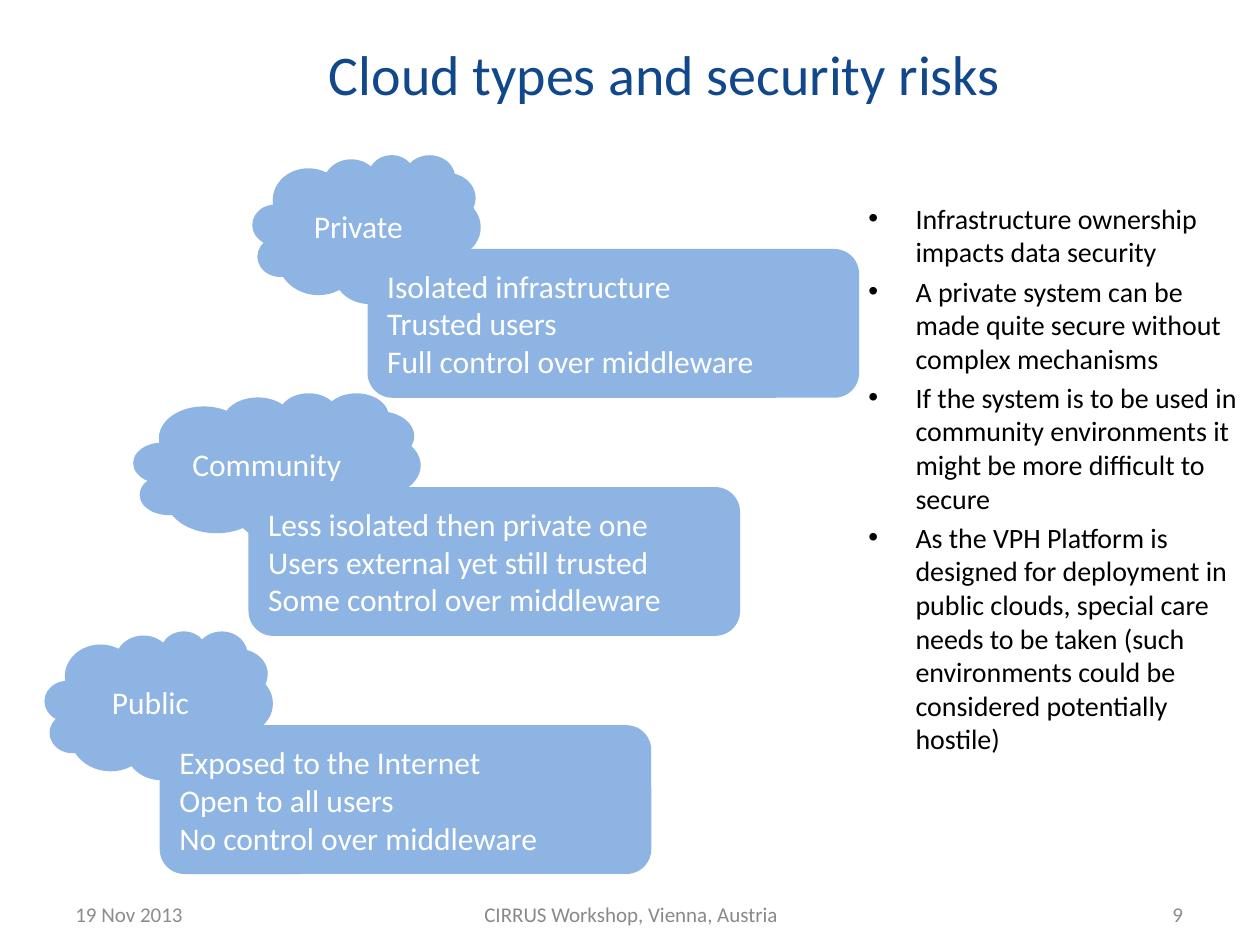
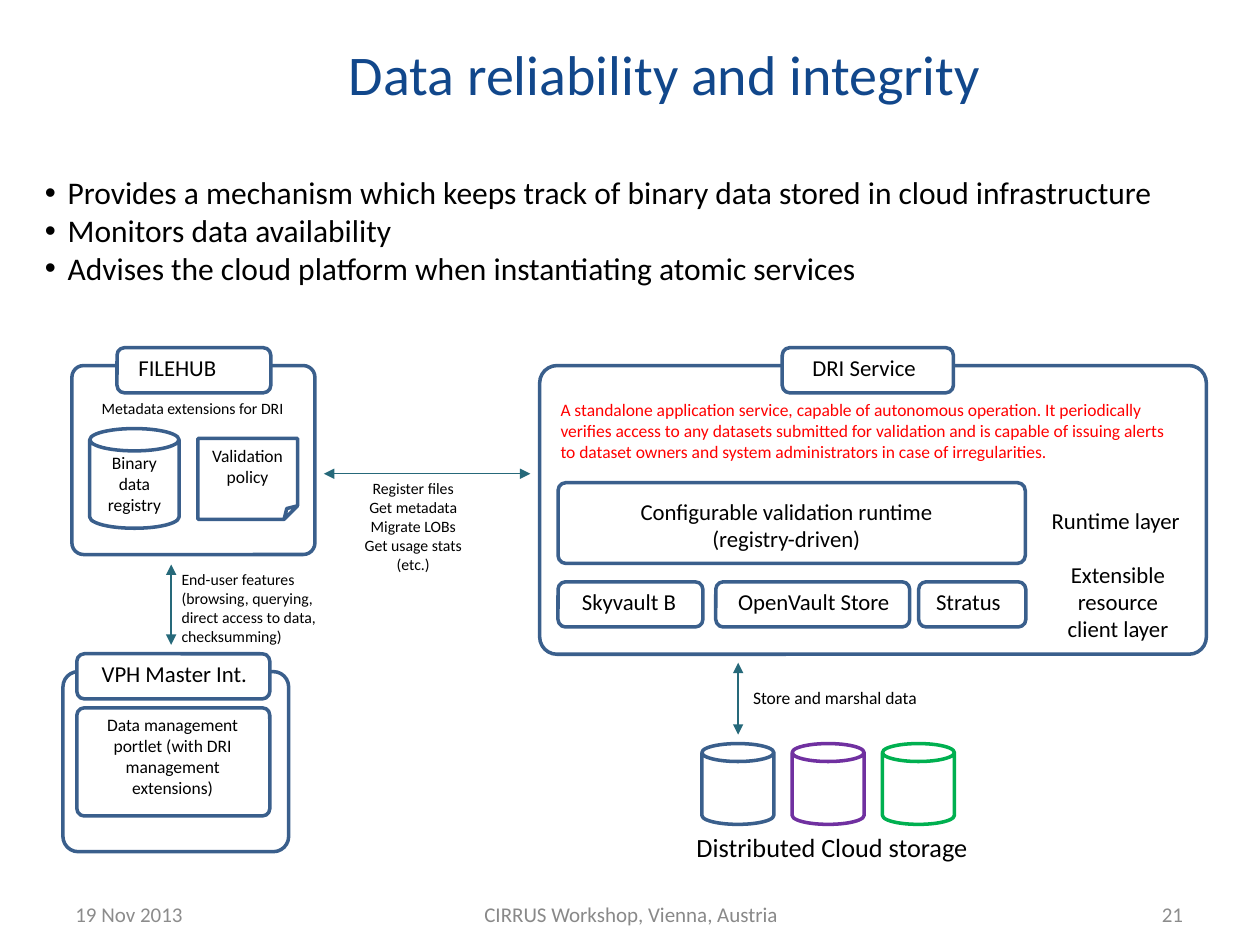
from dataclasses import dataclass

from pptx import Presentation
from pptx.dml.color import RGBColor
from pptx.enum.shapes import MSO_CONNECTOR, MSO_SHAPE as SHAPE
from pptx.enum.text import MSO_ANCHOR as ANCHOR, MSO_AUTO_SIZE as AUTO, PP_ALIGN as ALIGN
from pptx.oxml.ns import qn
from pptx.util import Cm, Pt
from lxml.etree import SubElement


@dataclass(frozen=True)
class Theme:
    font: str = "Calibri"
    title: str = "11478B"
    text: str = "000000"
    warning: str = "FF0000"
    footer: str = "898989"
    page: str = "8C8C8C"
    cloud: str = "8EB4E3"
    white: str = "FFFFFF"
    outline: str = "3A5F8C"
    arrow: str = "26697A"
    purple: str = "7030A0"
    green: str = "00B050"
    title_size: int = 32
    body_size: int = 18
    side_size: int = 16
    storage_size: int = 15
    label_size: int = 13
    footer_size: int = 12
    detail_size: int = 10
    note_size: int = 9
    outline_width: float = 2
    arrow_width: float = 0.75


T = Theme()
TAB_H = 0.91


def rgb(color):
    return RGBColor.from_string(color)


def place(sp, x, y, w, h):
    sp.left, sp.top, sp.width, sp.height = Cm(x), Cm(y), Cm(w), Cm(h)


def write(tf, text, size, color=T.text, align=ALIGN.LEFT):
    tf.text = text
    for p in tf.paragraphs:
        p.alignment = align
        for r in p.runs:
            r.font.name = T.font
            r.font.size = Pt(size)
            r.font.color.rgb = rgb(color)


def add_label(s, text, x, y, w, h, size=T.label_size, color=T.text,
              align=ALIGN.LEFT, wrap=True):
    tf = s.shapes.add_textbox(Cm(x), Cm(y), Cm(w), Cm(h)).text_frame
    tf.word_wrap = wrap
    tf.auto_size = AUTO.SHAPE_TO_FIT_TEXT
    write(tf, text, size, color, align)


def add_shape(s, kind, x, y, w, h, adjust=(), fill=None, line=None):
    sp = s.shapes.add_shape(kind, Cm(x), Cm(y), Cm(w), Cm(h))
    sp.shadow.inherit = False
    for i, value in enumerate(adjust):
        sp.adjustments[i] = value
    if fill:
        sp.fill.solid()
        sp.fill.fore_color.rgb = rgb(fill)
    else:
        sp.fill.background()
    if line:
        sp.line.color.rgb = rgb(line)
        sp.line.width = Pt(T.outline_width)
    else:
        sp.line.fill.background()
    return sp


def add_box(s, x, y, w, h, adjust=(), fill=None):
    return add_shape(s, SHAPE.ROUNDED_RECTANGLE, x, y, w, h, adjust, fill, T.outline)


def add_arrow(s, x1, y1, x2, y2):
    c = s.shapes.add_connector(MSO_CONNECTOR.STRAIGHT, Cm(x1), Cm(y1), Cm(x2), Cm(y2))
    c.line.color.rgb = rgb(T.arrow)
    c.line.width = Pt(T.arrow_width)
    spPr = c.element.spPr
    ln = spPr.find(qn("a:ln"))
    for end in ("a:headEnd", "a:tailEnd"):
        SubElement(ln, qn(end), type="triangle")
    SubElement(spPr, qn("a:effectLst"))


def add_footer(s, text, x, w, color, align):
    sp = s.shapes.add_textbox(Cm(x), Cm(17.91), Cm(w), Cm(1.02))
    sp.text_frame.word_wrap = True
    sp.text_frame.vertical_anchor = ANCHOR.MIDDLE
    write(sp.text_frame, text, T.footer_size, color, align)


def add_slide(prs, title, page):
    s = prs.slides.add_slide(prs.slide_layouts[1])
    place(s.shapes.title, 3.7, 0.04, 19.41, 2.87)
    write(s.shapes.title.text_frame, title, T.title_size, T.title, ALIGN.CENTER)
    add_footer(s, "19 Nov 2013", 1.27, 5.92, T.page, ALIGN.LEFT)
    add_footer(s, "CIRRUS Workshop, Vienna, Austria", 7.62, 10.21, T.footer, ALIGN.CENTER)
    add_footer(s, str(page), 22.45, 1.65, T.page, ALIGN.RIGHT)
    return s


def add_bullets(s, items, x, y, w, h, size, indent=None):
    body = s.placeholders[1]
    place(body, x, y, w, h)
    tf = body.text_frame
    tf.auto_size = AUTO.NONE
    write(tf, "\n".join(items), size)
    if indent:
        for p in tf.paragraphs:
            p.space_before = Pt(0)
            pPr = p._p.get_or_add_pPr()
            pPr.set("marL", str(Cm(indent)))
            pPr.set("indent", str(-Cm(indent)))


def add_cloud(s, name, traits, x, y, w):
    cloud = add_shape(s, SHAPE.CLOUD_CALLOUT, x, y, w, 3, (0.27, 0.293), T.cloud)
    write(cloud.text_frame, name, T.body_size, T.white, ALIGN.CENTER)
    card = add_shape(s, SHAPE.ROUNDED_RECTANGLE, x + 2.32, y + 1.9, 9.91, 3, fill=T.cloud)
    write(card.text_frame, "\n".join(traits), T.body_size, T.white)


def add_cloud_types(prs):
    s = add_slide(prs, "Cloud types and security risks", 9)
    add_bullets(s, [
        "Infrastructure ownership impacts data security",
        "A private system can be made quite secure without complex mechanisms",
        "If the system is to be used in community environments it might be more "
        "difficult to secure",
        "As the VPH Platform is designed for deployment in public clouds, special care "
        "needs to be taken (such environments could be considered potentially hostile)",
    ], 17.25, 3.93, 8.15, 13.03, T.side_size)
    clouds = [
        ("Private", 5.09, 4.6, ["Isolated infrastructure", "Trusted users",
                                "Full control over middleware"]),
        ("Community", 2.69, 5.79, ["Less isolated then private one",
                                   "Users external yet still trusted",
                                   "Some control over middleware"]),
        ("Public", 0.9, 4.6, ["Exposed to the Internet", "Open to all users",
                              "No control over middleware"]),
    ]
    for i, (name, x, w, traits) in enumerate(clouds):
        add_cloud(s, name, traits, x, 3.12 + 4.8 * i, w)


def add_metadata_store(s):
    add_box(s, 1.45, 7.37, 4.9, 3.81, (0.062,))
    add_box(s, 2.36, 7.01, 3.1, TAB_H, fill=T.white)
    add_label(s, "FILEHUB", 2.54, 7.01, 2.21, 0.79, wrap=False)
    add_label(s, "Metadata extensions for DRI", 1.8, 7.92, 4.55, 0.61, T.note_size)
    add_shape(s, SHAPE.CAN, 1.81, 8.64, 1.8, 2.01, line=T.outline)
    add_label(s, "Binary\ndata\nregistry", 1.81, 8.99, 1.8, 1.55, T.detail_size,
              align=ALIGN.CENTER)
    add_shape(s, SHAPE.FOLDED_CORNER, 3.99, 8.84, 2.01, 1.63, line=T.outline)
    add_label(s, "Validation policy", 3.81, 8.84, 2.36, 1.09, T.detail_size,
              align=ALIGN.CENTER)


def add_master_interface(s):
    add_box(s, 1.27, 13.54, 4.55, 3.63, (0.085,))
    add_box(s, 1.55, 13.18, 3.89, TAB_H, fill=T.white)
    add_label(s, "VPH Master Int.", 1.8, 13.18, 3.63, 0.81)
    add_box(s, 1.55, 14.27, 3.89, 2.18, (0.068,), T.white)
    add_label(s, "Data management portlet (with DRI management extensions)",
              1.7, 14.27, 3.56, 1.96, T.detail_size, align=ALIGN.CENTER)


def add_dri_service(s):
    add_box(s, 10.88, 7.37, 13.44, 5.82, (0.06,))
    add_box(s, 15.77, 7.01, 3.45, TAB_H, fill=T.white)
    add_label(s, "DRI Service", 15.97, 7.01, 2.9, 0.79, align=ALIGN.CENTER, wrap=False)
    add_label(s, "A standalone application service, capable of autonomous operation. "
              "It periodically verifies access to any datasets submitted for validation "
              "and is capable of issuing alerts to dataset owners and system "
              "administrators in case of irregularities.",
              11.05, 7.92, 12.88, 1.52, T.detail_size, T.warning)
    add_box(s, 11.25, 9.73, 9.42, 1.63, (0.099,))
    add_label(s, "Configurable validation runtime\n(registry-driven)",
              12.5, 9.91, 6.7, 1.4, align=ALIGN.CENTER, wrap=False)
    clients = [("Skyvault B", 11.25, 2.92, 0.23, 2.59),
               ("OpenVault Store", 14.43, 3.91, 0.2, 3.7),
               ("Stratus", 18.52, 2.16, 0.1, 2.24)]
    for name, x, w, inset, label_w in clients:
        add_box(s, x, 11.73, w, TAB_H)
        add_label(s, name, x + inset, 11.73, label_w, 0.81, wrap=False)
    add_label(s, "Runtime layer", 20.84, 10.1, 3.3, 0.79, align=ALIGN.CENTER, wrap=False)
    add_label(s, "Extensible\nresource\nclient layer", 20.4, 11.17, 4.27, 1.9,
              align=ALIGN.CENTER)


def add_cloud_storage(s):
    for i, color in enumerate((T.outline, T.purple, T.green)):
        add_shape(s, SHAPE.CAN, 14.15 + 1.82 * i, 14.99, 1.45, 1.63, line=color)
    add_label(s, "Distributed Cloud storage", 13.79, 16.64, 6.02, 0.89,
              T.storage_size, wrap=False)


def add_data_flows(s):
    add_arrow(s, 6.53, 9.55, 10.69, 9.55)
    add_label(s, "Register files\nGet metadata\nMigrate LOBs\nGet usage stats\n(etc.)",
              6.83, 9.53, 3, 2.21, T.note_size, align=ALIGN.CENTER, wrap=False)
    add_arrow(s, 14.88, 13.36, 14.88, 14.81)
    add_label(s, "Store and marshal data", 14.78, 13.72, 4.1, 0.66, T.detail_size,
              align=ALIGN.CENTER, wrap=False)
    add_arrow(s, 3.45, 11.38, 3.45, 13)
    add_label(s, "End-user features\n(browsing, querying,\ndirect access to data,\n"
              "checksumming)", 3.41, 11.36, 3.5, 1.8, T.note_size)


def add_data_reliability(prs):
    s = add_slide(prs, "Data reliability and integrity", 21)
    add_bullets(s, [
        "Provides a mechanism which keeps track of binary data stored in cloud infrastructure",
        "Monitors data availability",
        "Advises the cloud platform when instantiating atomic services",
    ], 0.65, 3.37, 23.22, 2.54, T.body_size, indent=0.46)
    add_metadata_store(s)
    add_master_interface(s)
    add_dri_service(s)
    add_cloud_storage(s)
    add_data_flows(s)


def main():
    prs = Presentation()
    prs.slide_width, prs.slide_height = Cm(25.4), Cm(19.05)
    add_cloud_types(prs)
    add_data_reliability(prs)
    prs.save("out.pptx")


if __name__ == "__main__":
    main()
